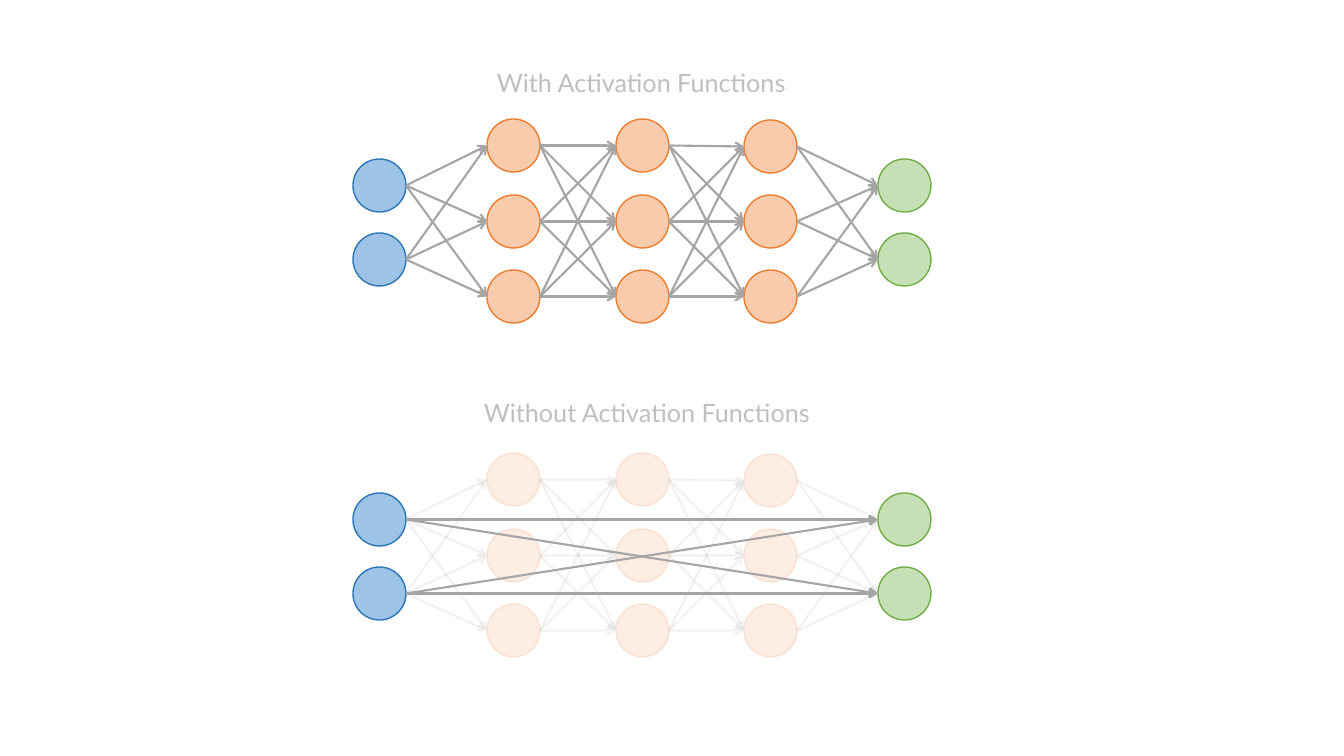
"""Build a slide comparing a neural network with and without activation functions."""
import itertools
from dataclasses import dataclass

import lxml.etree
import pptx
import pptx.dml.color
import pptx.enum.shapes
import pptx.oxml.ns
import pptx.util

PIXEL = 914400 / 100.8
DIAMETER = 53


@dataclass(frozen=True)
class Theme:
    font: str = "Lato"
    heading_size: int = 18
    heading: str = "BFBFBF"
    link: str = "A5A5A5"
    input: tuple = ("9DC3E6", "2E75B6")
    hidden: tuple = ("F8CBAD", "ED7D31")
    faded_hidden: tuple = ("FDEDE2", "ED7D31")
    output: tuple = ("C5E0B4", "70AD47")
    faded_opacity: int = 14
    node_width: float = 1
    link_width: float = 1.5


theme = Theme()


def emu(*pixels):
    return [pptx.util.Emu(round(pixel * PIXEL)) for pixel in pixels]


def style_line(shape, color, width, opacity):
    shape.line.color.rgb = pptx.dml.color.RGBColor.from_string(color)
    shape.line.width = pptx.util.Pt(width)
    line_element = shape._element.spPr.find(pptx.oxml.ns.qn("a:ln"))
    if opacity < 100:
        color_element = line_element.find(".//" + pptx.oxml.ns.qn("a:srgbClr"))
        lxml.etree.SubElement(color_element, pptx.oxml.ns.qn("a:alpha"),
                              val=str(opacity * 1000))
    return line_element


presentation = pptx.Presentation()
presentation.slide_width, presentation.slide_height = emu(1344, 756)
slide = presentation.slides.add_slide(presentation.slide_layouts[6])

layers = [
    (353, (159, 233), "input"),
    (487, (119, 195, 270), "hidden"),
    (616, (119, 195, 270), "hidden"),
    (744, (120, 195, 270), "hidden"),
    (878, (159, 233), "output"),
]
networks = [
    ("With Activation Functions", 487, 62, 0, False),
    ("Without Activation Functions", 474, 392, 334, True),
]

for heading, heading_left, heading_top, offset, collapsed in networks:
    network = slide.shapes.add_group_shape()
    hidden_opacity = theme.faded_opacity if collapsed else 100

    for left, tops, role in layers:
        faded = collapsed and role == "hidden"
        fill, outline = getattr(theme, "faded_hidden" if faded else role)
        for top in tops:
            node = network.shapes.add_shape(
                pptx.enum.shapes.MSO_SHAPE.OVAL,
                *emu(left, top + offset, DIAMETER, DIAMETER))
            node.shadow.inherit = False
            node.fill.solid()
            node.fill.fore_color.rgb = pptx.dml.color.RGBColor.from_string(fill)
            style_line(node, outline, theme.node_width,
                       hidden_opacity if faded else 100)

    layer_pairs = [(source, target, hidden_opacity)
                   for source, target in zip(layers, layers[1:])]
    if collapsed:
        layer_pairs.append((layers[0], layers[-1], 100))
    for source, target, opacity in layer_pairs:
        for source_top, target_top in itertools.product(source[1], target[1]):
            center = offset + DIAMETER / 2
            link = network.shapes.add_connector(
                pptx.enum.shapes.MSO_CONNECTOR.STRAIGHT,
                *emu(source[0] + DIAMETER, source_top + center,
                     target[0], target_top + center))
            line_element = style_line(link, theme.link, theme.link_width, opacity)
            lxml.etree.SubElement(line_element, pptx.oxml.ns.qn("a:tailEnd"),
                                  type="arrow")
            lxml.etree.SubElement(link._element.spPr,
                                  pptx.oxml.ns.qn("a:effectLst"))

    text_box = slide.shapes.add_textbox(*emu(heading_left, heading_top, 397, 40))
    text_box.text_frame.word_wrap = True
    paragraph = text_box.text_frame.paragraphs[0]
    paragraph.text = heading
    paragraph.font.name = theme.font
    paragraph.font.size = pptx.util.Pt(theme.heading_size)
    paragraph.font.color.rgb = pptx.dml.color.RGBColor.from_string(theme.heading)

presentation.save("out.pptx")
